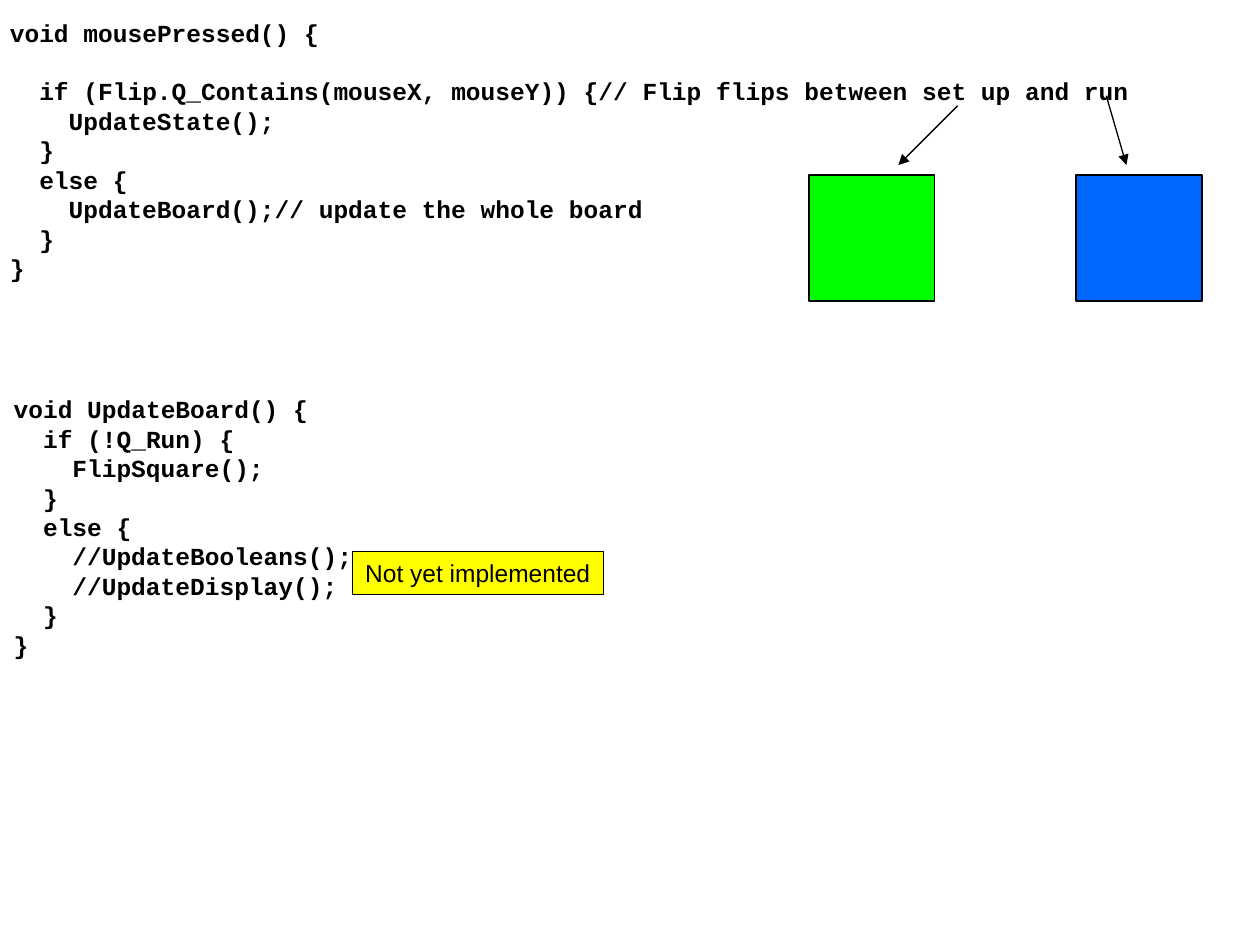
from dataclasses import dataclass

from pptx import Presentation
from pptx import util as u
from pptx.dml.color import RGBColor
from pptx.enum import shapes, text
from pptx.oxml.ns import qn
from lxml import etree


@dataclass(frozen=True)
class Theme:
    ink: str = "000000"
    green: str = "00FF00"
    blue: str = "0066FF"
    yellow: str = "FFFF00"
    code: str = "Courier New"
    body: str = "Arial"
    size: float = 14
    line: float = 0.75
    pitch: float = 16.8  # code line height, also the width of two characters


T = Theme()

# Each code line: indent level, text
PRESS = [
    (0, "void mousePressed() {"),
    (1, "if (Flip.Q_Contains(mouseX, mouseY)) {"
        "// Flip flips between set up and run"),
    (2, "UpdateState();"),
    (1, "}"),
    (1, "else {"),
    (2, "UpdateBoard();// update the whole board"),
    (1, "}"),
    (0, "}"),
]
BOARD = [
    (0, "void UpdateBoard() {"),
    (1, "if (!Q_Run) {"),
    (2, "FlipSquare();"),
    (1, "}"),
    (1, "else {"),
    (2, "//UpdateBooleans();"),
    (2, "//UpdateDisplay();"),
    (1, "}"),
    (0, "}"),
]


def color(code):
    return RGBColor.from_string(code)


def write(para, words, font=T.body, bold=False, level=0, pitch=None, after=0):
    """Put formatted text into a paragraph."""
    para.alignment = text.PP_ALIGN.LEFT
    para.line_spacing = u.Pt(pitch) if pitch else None
    para.space_after = u.Pt(after)
    if level:
        props = para._p.get_or_add_pPr()
        props.set("marL", str(u.Pt(level * T.pitch)))
        props.set("indent", "0")
    run = para.add_run()
    run.text = words
    run.font.name = font
    run.font.size = u.Pt(T.size)
    run.font.bold = bold
    run.font.color.rgb = color(T.ink)


def listing(slide, lines, x, y, w, h, gap=0):
    """Add a code block; gap is the space after its first line."""
    frame = slide.shapes.add_textbox(
        u.Inches(x), u.Inches(y), u.Inches(w), u.Inches(h)).text_frame
    frame.word_wrap = False
    frame.margin_top = u.Inches(0.07)
    for i, (level, words) in enumerate(lines):
        para = frame.add_paragraph() if i else frame.paragraphs[0]
        write(para, words, font=T.code, bold=True, level=level,
              pitch=T.pitch, after=0 if i else gap)


def box(slide, fill, x, y, w, h):
    rect = slide.shapes.add_shape(
        shapes.MSO_SHAPE.RECTANGLE,
        u.Inches(x), u.Inches(y), u.Inches(w), u.Inches(h))
    rect.shadow.inherit = False
    rect.fill.solid()
    rect.fill.fore_color.rgb = color(fill)
    rect.line.color.rgb = color(T.ink)
    rect.line.width = u.Pt(T.line)
    return rect


def label(slide, words, fill, x, y, w, h):
    frame = box(slide, fill, x, y, w, h).text_frame
    frame.word_wrap = False
    frame.vertical_anchor = text.MSO_ANCHOR.TOP
    write(frame.paragraphs[0], words)


def arrow(slide, x1, y1, x2, y2):
    link = slide.shapes.add_connector(
        shapes.MSO_CONNECTOR.STRAIGHT,
        u.Inches(x1), u.Inches(y1), u.Inches(x2), u.Inches(y2))
    link.line.color.rgb = color(T.ink)
    link.line.width = u.Pt(T.line)
    tail = etree.SubElement(link.line._get_or_add_ln(), qn("a:tailEnd"))
    tail.set("type", "triangle")
    etree.SubElement(link._element.spPr, qn("a:effectLst"))


def main():
    deck = Presentation()
    deck.slide_width, deck.slide_height = u.Inches(10), u.Inches(7.5)
    slide = deck.slides.add_slide(deck.slide_layouts[6])

    # Code
    listing(slide, PRESS, -0.02, 0.07, 9.09, 2.2, gap=T.pitch)
    listing(slide, BOARD, 0.01, 3.06, 2.89, 2.44)
    label(slide, "Not yet implemented", T.yellow, 2.8, 4.38, 1.99, 0.34)

    # Button colours for the two states
    for fill, x in ((T.green, 6.42), (T.blue, 8.54)):
        box(slide, fill, x, 1.39, 1, 1)

    # Arrows from the comment to the buttons
    arrow(slide, 7.6, 0.84, 7.13, 1.31)
    arrow(slide, 8.78, 0.76, 8.94, 1.31)

    deck.save("out.pptx")


if __name__ == "__main__":
    main()
